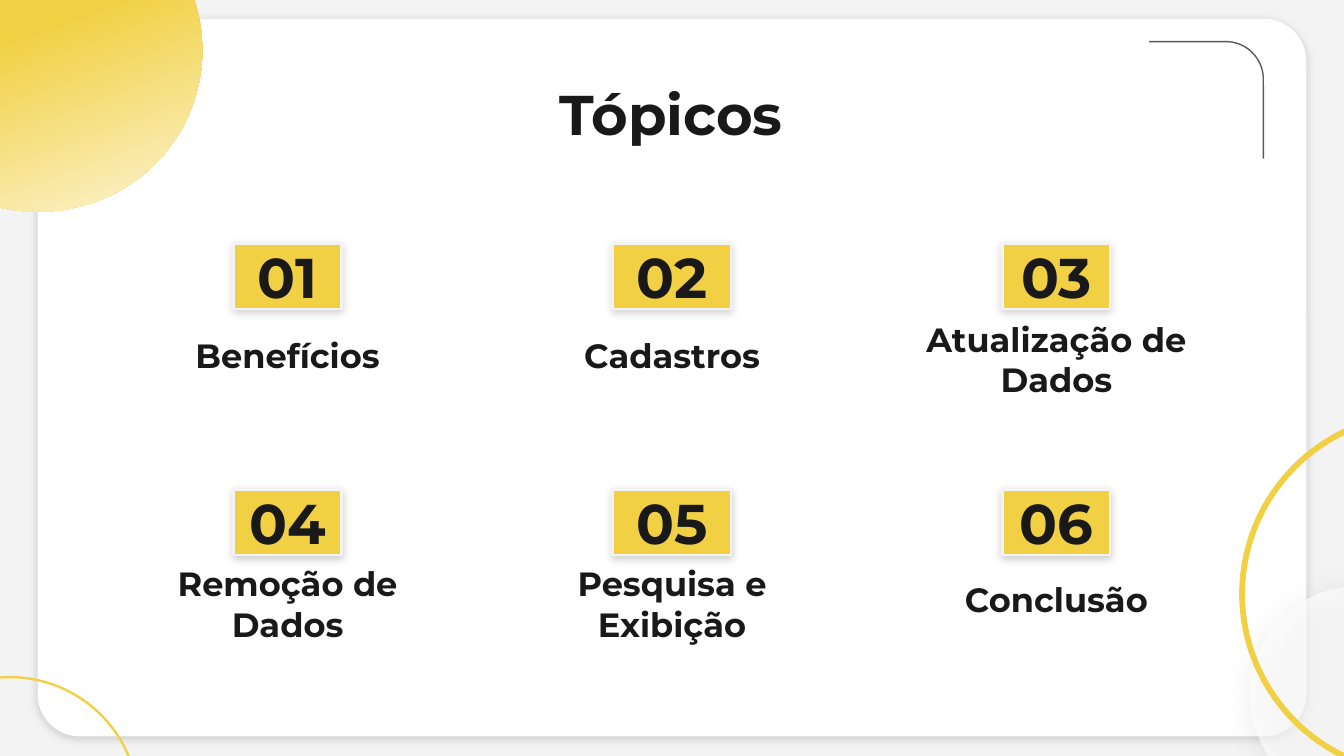
from copy import deepcopy
from math import cos, radians, sin

from lxml import etree
from pptx import Presentation
from pptx.dml.color import RGBColor
from pptx.enum.shapes import MSO_SHAPE as SHAPE
from pptx.enum.text import MSO_ANCHOR as ANCHOR, MSO_AUTO_SIZE as AUTO_SIZE, PP_ALIGN as ALIGN
from pptx.oxml.ns import qn
from pptx.util import Inches, Pt

YELLOW = RGBColor(0xF2, 0xD0, 0x44)
WHITE = RGBColor(0xFF, 0xFF, 0xFF)
LIGHT = RGBColor(0xF3, 0xF3, 0xF3)
GREY = RGBColor(0x59, 0x59, 0x59)
BLACK = RGBColor(0x00, 0x00, 0x00)
INK = RGBColor(0x19, 0x19, 0x19)

TOPICS = ["Benefícios", "Cadastros", "Atualização de Dados",
          "Remoção de Dados", "Pesquisa e Exibição", "Conclusão"]
TWO_LINES = TOPICS[2:5]
CENTERS = [2.14, 5, 7.86]
NUMBER_WIDTHS = [0.8, 0.88, 0.8]
NUMBER_TOPS = [1.81, 3.64]
LABEL_TOPS = [2.15, 3.97]
LABEL_W = 2.72

prs = Presentation()
prs.slide_width = Inches(10)
prs.slide_height = prs.slide_width * 9 // 16
s = prs.slides.add_slide(prs.slide_layouts[5])
s.background.fill.solid()
s.background.fill.fore_color.rgb = LIGHT


def add_shape(kind, x, y, w, h, color, shadow=None):
    """Add a borderless shape; shadow is (color, opacity %, blur pt, distance pt, angle)."""
    sp = s.shapes.add_shape(kind, Inches(x), Inches(y), Inches(w), Inches(h))
    sp.fill.solid()
    sp.fill.fore_color.rgb = color
    sp.line.fill.background()
    sp.shadow.inherit = False
    if shadow:
        rgb, opacity, blur, dist, angle = shadow
        effects = sp._element.spPr.find(qn("a:effectLst"))
        outer = etree.SubElement(effects, qn("a:outerShdw"), blurRad=str(Pt(blur)),
                                 dist=str(Pt(dist)), dir=str(angle * 60000),
                                 algn="bl", rotWithShape="0")
        clr = etree.SubElement(outer, qn("a:srgbClr"), val=str(rgb))
        etree.SubElement(clr, qn("a:alpha"), val=str(opacity * 1000))
    return sp


def write(sp, text, size, anchor):
    tf = sp.text_frame
    tf.text = text
    tf.word_wrap = True
    tf.auto_size = AUTO_SIZE.NONE
    tf.vertical_anchor = anchor
    tf.margin_left = tf.margin_right = tf.margin_top = tf.margin_bottom = Inches(0.1)
    p = tf.paragraphs[0]
    p.alignment = ALIGN.CENTER
    p.font.name = "Montserrat"
    p.font.size = Pt(size)
    p.font.bold = True
    p.font.color.rgb = INK


# Card and decoration
card = add_shape(SHAPE.ROUNDED_RECTANGLE, 0.28, 0.14, 9.44, 5.34, WHITE,
                 (BLACK, 17, 4.5, 1.5, 90))
card.adjustments[0] = 0.059

glass = add_shape(SHAPE.OVAL, 9.3, 4.36, 1.62, 1.62, WHITE, (GREY, 19, 14.6, 2.2, 74))
glass.rotation = 257.6
glass_color = glass._element.spPr.find(qn("a:solidFill"))[0]
etree.SubElement(glass_color, qn("a:alpha"), val="62000")

for x, y, size, thickness in [(9.22, 3.06, 2.72, 0.016), (-0.89, 5.03, 1.93, 0.009)]:
    ring = add_shape(SHAPE.DONUT, x, y, size, size, YELLOW)
    ring.adjustments[0] = thickness

# Corner line with a rounded bend
RADIUS = 0.28
bend = [(9.12 + RADIUS * cos(radians(a)), 0.59 + RADIUS * sin(radians(a)))
        for a in range(-90, 1, 5)]
builder = s.shapes.build_freeform(Inches(8.55), Inches(0.31))
builder.add_line_segments([(Inches(x), Inches(y)) for x, y in bend + [(9.4, 1.18)]],
                          close=False)
corner = builder.convert_to_shape()
corner.fill.background()
corner.line.color.rgb = GREY
corner.line.width = Pt(0.75)
corner.shadow.inherit = False

# Title, brought in front of the card
title = s.shapes.title
title.left, title.top = Inches(0.78), Inches(0.49)
title.width, title.height = Inches(8.43), Inches(0.63)
write(title, "Tópicos", 30, ANCHOR.TOP)
s.shapes._spTree.append(title._element)

# Numbered topics
for i, topic in enumerate(TOPICS):
    row, col = divmod(i, 3)
    center, w = CENTERS[col], NUMBER_WIDTHS[col]
    number = add_shape(SHAPE.RECTANGLE, center - w / 2, NUMBER_TOPS[row], w, 0.49, YELLOW,
                       (BLACK, (17, 20)[row], 4.5, 1.5, 90))
    number.line.color.rgb = LIGHT
    number.line.width = Pt(1.5)
    write(number, f"{i + 1:02}", 30, ANCHOR.MIDDLE)

    top = LABEL_TOPS[row] + (0.18 if topic in TWO_LINES else 0)
    label = s.shapes.add_textbox(Inches(center - LABEL_W / 2), Inches(top),
                                 Inches(LABEL_W), Inches(0.74))
    write(label, topic, 18, ANCHOR.BOTTOM)

# Gradient circle in the top left corner
sun = add_shape(SHAPE.OVAL, -0.99, -0.87, 2.5, 2.44, YELLOW)
sun.rotation = 204.8
sun.fill.gradient()
sun.fill.gradient_angle = 135
stops = sun._element.spPr.find(qn("a:gradFill")).find(qn("a:gsLst"))
stops.insert(1, deepcopy(stops[0]))
for stop, position, color in zip(sun.fill.gradient_stops, (0, 0.47, 1), (YELLOW, YELLOW, WHITE)):
    stop.position = position
    stop.color.rgb = color

prs.save("out.pptx")
